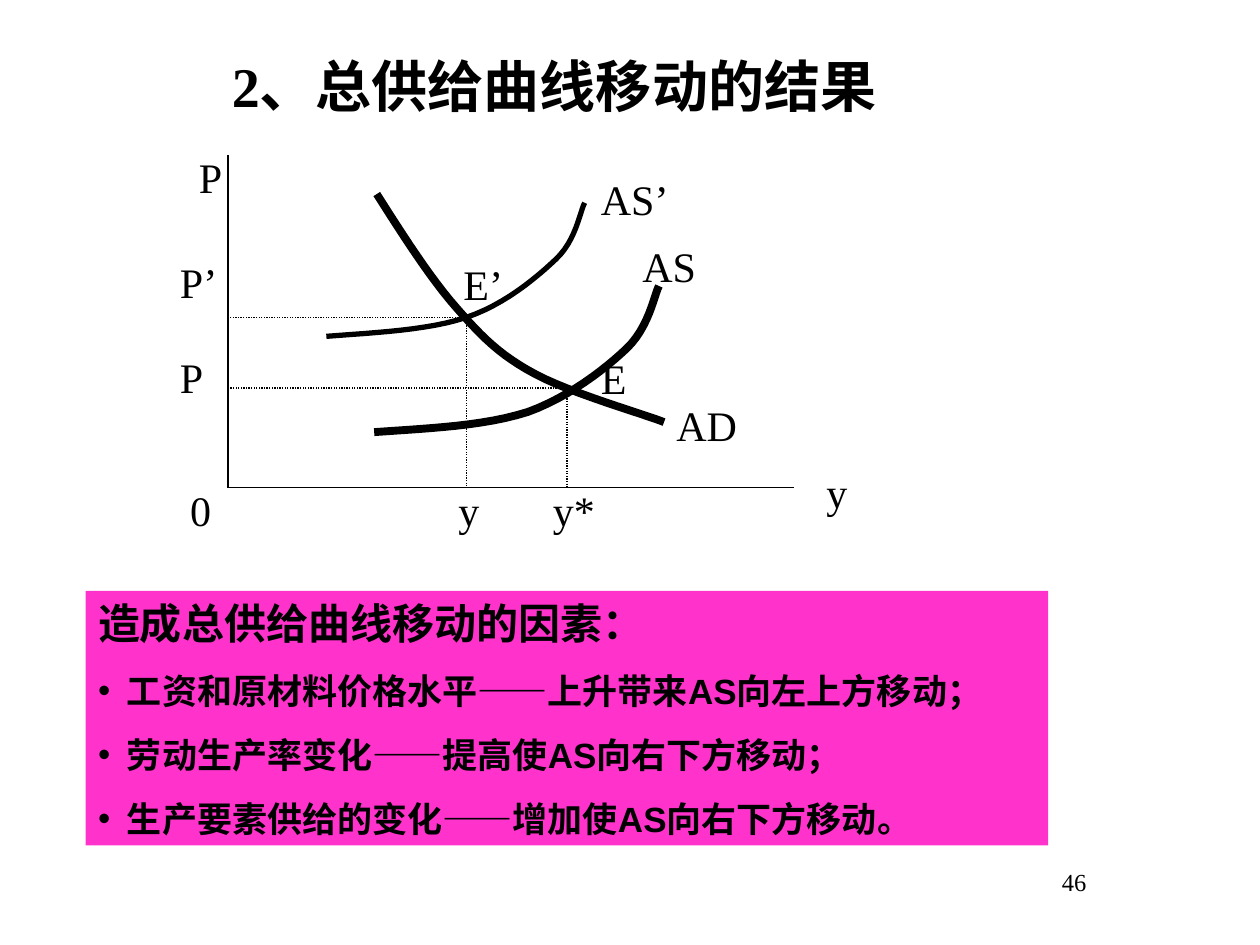
from pptx import Presentation
from pptx import util as u
from pptx.dml.color import RGBColor
from pptx.enum import dml, shapes, text
from pptx.oxml import ns
from lxml import etree

BLACK = RGBColor(0, 0, 0)
PINK = RGBColor(0xFF, 0x33, 0xCC)
SERIF, SANS = "Times New Roman", "Arial"
LEFT, BASE = 1.81, 3.87

LABELS = [
    ("P", 1.48, 1.15, 0.47), ("P’", 1.33, 1.99, 0.55),
    ("P", 1.33, 2.74, 0.71), ("0", 1.41, 3.8, 0.39),
    ("E", 4.67, 2.75, 0.39), ("E’", 3.58, 2, 0.71),
    ("AS", 5, 1.86, 1.1), ("AS’", 4.67, 1.33, 1.08),
    ("AD", 5.27, 3.12, 0.87), ("y", 3.54, 3.8, 0.5),
    ("y*", 4.29, 3.8, 0.7), ("y", 6.46, 3.65, 0.71),
]
CURVES = {
    "AD": (4.5, [(2.99, 1.54), (3.2, 1.87), (3.41, 2.2), (3.62, 2.44), (3.83, 2.68),
                 (3.97, 2.82), (4.25, 2.97), (4.53, 3.12), (5.09, 3.28), (5.27, 3.35)]),
    "AS’": (3, [(2.59, 2.67), (2.99, 2.64), (3.4, 2.62), (3.7, 2.52), (4, 2.42),
                (4.25, 2.21), (4.41, 2.06), (4.57, 1.91), (4.6, 1.69), (4.64, 1.61)]),
    "AS": (4.5, [(2.97, 3.43), (3.41, 3.4), (3.85, 3.38), (4.19, 3.27), (4.52, 3.15),
                 (4.8, 2.93), (4.97, 2.77), (5.15, 2.6), (5.19, 2.35), (5.23, 2.27)]),
}
HEAD = "造成总供给曲线移动的因素："
CAUSES = [
    "工资和原材料价格水平——上升带来AS向左上方移动；",
    "劳动生产率变化——提高使AS向右下方移动；",
    "生产要素供给的变化——增加使AS向右下方移动。",
]


def style(item, **values):
    for key, value in values.items():
        setattr(item, key, value)


def setup(frame):
    style(frame, word_wrap=True, auto_size=text.MSO_AUTO_SIZE.NONE,
          vertical_anchor=text.MSO_ANCHOR.TOP)


def write(para, words, size, face=SERIF, bold=False):
    para.alignment = text.PP_ALIGN.LEFT
    run = para.add_run()
    run.text = words
    style(run.font, size=u.Pt(size), name=face, bold=bold)
    run.font.color.rgb = BLACK


def label(slide, words, x, y, wide, size=24):
    box = slide.shapes.add_textbox(*map(u.Inches, (x, y, wide, 0.5)))
    setup(box.text_frame)
    write(box.text_frame.paragraphs[0], words, size)


def line(slide, start, end, dash=None):
    rule = slide.shapes.add_connector(
        shapes.MSO_CONNECTOR.STRAIGHT, *map(u.Inches, start + end))
    style(rule.line, width=u.Pt(0.75), dash_style=dash)
    rule.line.color.rgb = BLACK
    etree.SubElement(rule._element.spPr, ns.qn("a:effectLst"))


def bezier(knots, steps=12):
    dots = [knots[0]]
    for i in range(0, len(knots) - 1, 3):
        part = knots[i:i + 4]
        for n in range(1, steps + 1):
            t = n / steps
            parts = ((1 - t) ** 3, 3 * t * (1 - t) ** 2, 3 * t * t * (1 - t), t ** 3)
            dots.append(tuple(sum(w * p[axis] for w, p in zip(parts, part))
                              for axis in (0, 1)))
    return [(u.Inches(x), u.Inches(y)) for x, y in dots]


def curve(slide, width, knots):
    dots = bezier(knots)
    pen = slide.shapes.build_freeform(*dots[0])
    pen.add_line_segments(dots[1:], close=False)
    shape = pen.convert_to_shape()
    shape.shadow.inherit = False
    shape.fill.background()
    shape.line.width = u.Pt(width)
    shape.line.color.rgb = BLACK


def bullet(para):
    props = para._p.get_or_add_pPr()
    props.set("marL", str(u.Inches(0.23)))
    props.set("indent", str(-u.Inches(0.23)))
    etree.SubElement(props, ns.qn("a:buFont"), typeface=SANS)
    etree.SubElement(props, ns.qn("a:buChar"), char="•")


def panel(slide):
    box = slide.shapes.add_shape(
        shapes.MSO_SHAPE.RECTANGLE, *map(u.Inches, (0.68, 4.69, 7.64, 2.02)))
    box.shadow.inherit = False
    box.fill.solid()
    box.fill.fore_color.rgb = PINK
    box.line.fill.background()
    frame = box.text_frame
    setup(frame)
    write(frame.paragraphs[0], HEAD, 24, SANS, True)
    for cause in CAUSES:
        para = frame.add_paragraph()
        bullet(para)
        para.space_before = u.Pt(12.5)
        write(para, cause, 20, SANS, True)


def title(slide, words):
    box = slide.shapes.title
    style(box, left=u.Inches(1.74), top=u.Inches(0.36),
          width=u.Inches(6.08), height=u.Inches(0.64))
    setup(box.text_frame)
    para = box.text_frame.paragraphs[0]
    para.space_before = u.Pt(0)
    write(para, words, 32, SERIF, True)


def main():
    deck = Presentation()
    style(deck, slide_width=u.Inches(10), slide_height=u.Inches(7.5))
    slide = deck.slides.add_slide(deck.slide_layouts[5])
    title(slide, "2、总供给曲线移动的结果")
    line(slide, (LEFT, 1.23), (LEFT, BASE))
    line(slide, (LEFT, BASE), (6.3, BASE))
    for x, y in ((4.5, 3.08), (3.7, 2.52)):
        for end in ((x, BASE), (LEFT, y)):
            line(slide, (x, y), end, dml.MSO_LINE.ROUND_DOT)
    for width, knots in CURVES.values():
        curve(slide, width, knots)
    for item in LABELS:
        label(slide, *item)
    panel(slide)
    label(slide, "46", 8.33, 6.83, 1.67, 14)
    deck.save("out.pptx")


if __name__ == "__main__":
    main()
